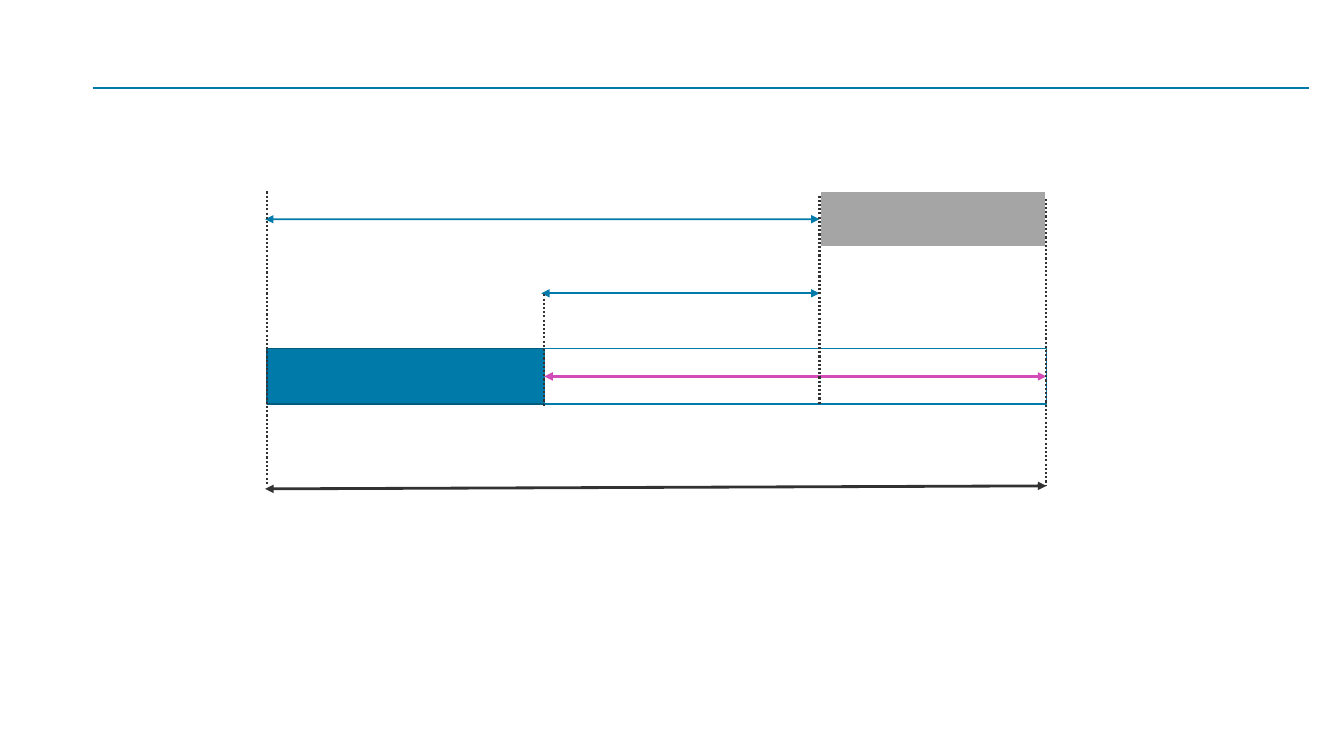
from dataclasses import dataclass
from typing import Optional

from lxml.etree import SubElement
from pptx import Presentation
from pptx.dml.color import RGBColor
from pptx.enum.dml import MSO_LINE
from pptx.enum.shapes import MSO_CONNECTOR, MSO_SHAPE
from pptx.oxml.ns import qn
from pptx.util import Inches, Pt

WIDE, HIGH = Inches(13.33), Inches(7.5)
LEFT, RIGHT = 0, 1


@dataclass(frozen=True)
class Theme:
    blue: str = "007BA9"
    navy: str = "005B7D"
    grey: str = "A5A5A5"
    pink: str = "D34BB6"
    dark: str = "323232"
    white: str = "FFFFFF"
    thin: float = 1
    fine: float = 1.25
    mid: float = 1.5
    bold: float = 2


@dataclass(frozen=True)
class Bar:
    left: float
    right: float
    top: float
    fill: str
    edge: str
    weight: float


@dataclass(frozen=True)
class Joint:
    bar: str
    side: int


@dataclass(frozen=True)
class Line:
    start: tuple[float, float]
    end: tuple[float, float]
    color: str
    weight: float
    arrow: bool = False
    dots: bool = False
    tail: Optional[Joint] = None
    head: Optional[Joint] = None


THEME = Theme()

# Columns and rows are percentages of the slide's width and height.
START, SPLIT, GATE, END = 19.88, 40.5, 60.98, 77.85
OUTER, INNER = 19.73, 40.28
UPPER, LOWER, DEPTH = 25.33, 46.13, 7.33
FOOT = 64.27

BARS = {
    "done": Bar(START, SPLIT, LOWER, THEME.blue, THEME.navy, THEME.thin),
    "open": Bar(SPLIT, END, LOWER, THEME.white, THEME.blue, THEME.thin),
    "late": Bar(GATE, END, UPPER, THEME.grey, THEME.white, THEME.mid),
}


def span(start: tuple[float, float], end: tuple[float, float], color: str,
         weight: float, tail: Optional[Joint] = None,
         head: Optional[Joint] = None) -> Line:
    """Describe a double-headed arrow."""
    return Line(start, end, color, weight, arrow=True, tail=tail, head=head)


def guide(col: float, top: float, base: float) -> Line:
    """Describe a dotted upright at one column."""
    return Line((col, top), (col, base), THEME.dark, THEME.mid, dots=True)


RULE = Line((6.9, 11.6), (97.43, 11.6), THEME.blue, THEME.mid)
LINES = [
    span((SPLIT, 49.8), (END, 49.8), THEME.pink, THEME.bold,
         Joint("done", 3), Joint("open", 3)),
    span((OUTER, 29), (GATE, 29), THEME.blue, THEME.fine,
         head=Joint("late", 1)),
    span((INNER, 38.8), (GATE, 38.8), THEME.blue, THEME.fine),
    guide(START, UPPER, FOOT),
    guide(GATE, 25.87, 53.47),
    guide(END, 26.27, FOOT),
    span((OUTER, 64.67), (END, FOOT), THEME.dark, THEME.bold),
    guide(SPLIT, 38.93, 53.87),
]


def col(share: float) -> int:
    return round(WIDE * share / 100)


def row(share: float) -> int:
    return round(HIGH * share / 100)


def draw_bar(slide, bar: Bar):
    shape = slide.shapes.add_shape(
        MSO_SHAPE.RECTANGLE, col(bar.left), row(bar.top),
        col(bar.right - bar.left), row(DEPTH))
    shape.shadow.inherit = False
    shape.fill.solid()
    shape.fill.fore_color.rgb = RGBColor.from_string(bar.fill)
    shape.line.color.rgb = RGBColor.from_string(bar.edge)
    shape.line.width = Pt(bar.weight)
    return shape


def draw_line(slide, line: Line, bars: dict) -> None:
    link = slide.shapes.add_connector(
        MSO_CONNECTOR.STRAIGHT, col(line.start[0]), row(line.start[1]),
        col(line.end[0]), row(line.end[1]))
    if line.tail:
        link.begin_connect(bars[line.tail.bar], line.tail.side)
    if line.head:
        link.end_connect(bars[line.head.bar], line.head.side)
    link.line.color.rgb = RGBColor.from_string(line.color)
    link.line.width = Pt(line.weight)
    if line.dots:
        link.line.dash_style = MSO_LINE.ROUND_DOT
    if line.arrow:
        stroke = link.line._get_or_add_ln()
        for tip in ("a:headEnd", "a:tailEnd"):
            SubElement(stroke, qn(tip), type="triangle")
    SubElement(link._element.spPr, qn("a:effectLst"))


def main() -> None:
    deck = Presentation()
    deck.slide_width, deck.slide_height = WIDE, HIGH
    slide = deck.slides.add_slide(deck.slide_layouts[6])
    draw_line(slide, RULE, {})
    bars = {name: draw_bar(slide, bar) for name, bar in BARS.items()}
    for line in LINES:
        draw_line(slide, line, bars)
    deck.save("out.pptx")


if __name__ == "__main__":
    main()
